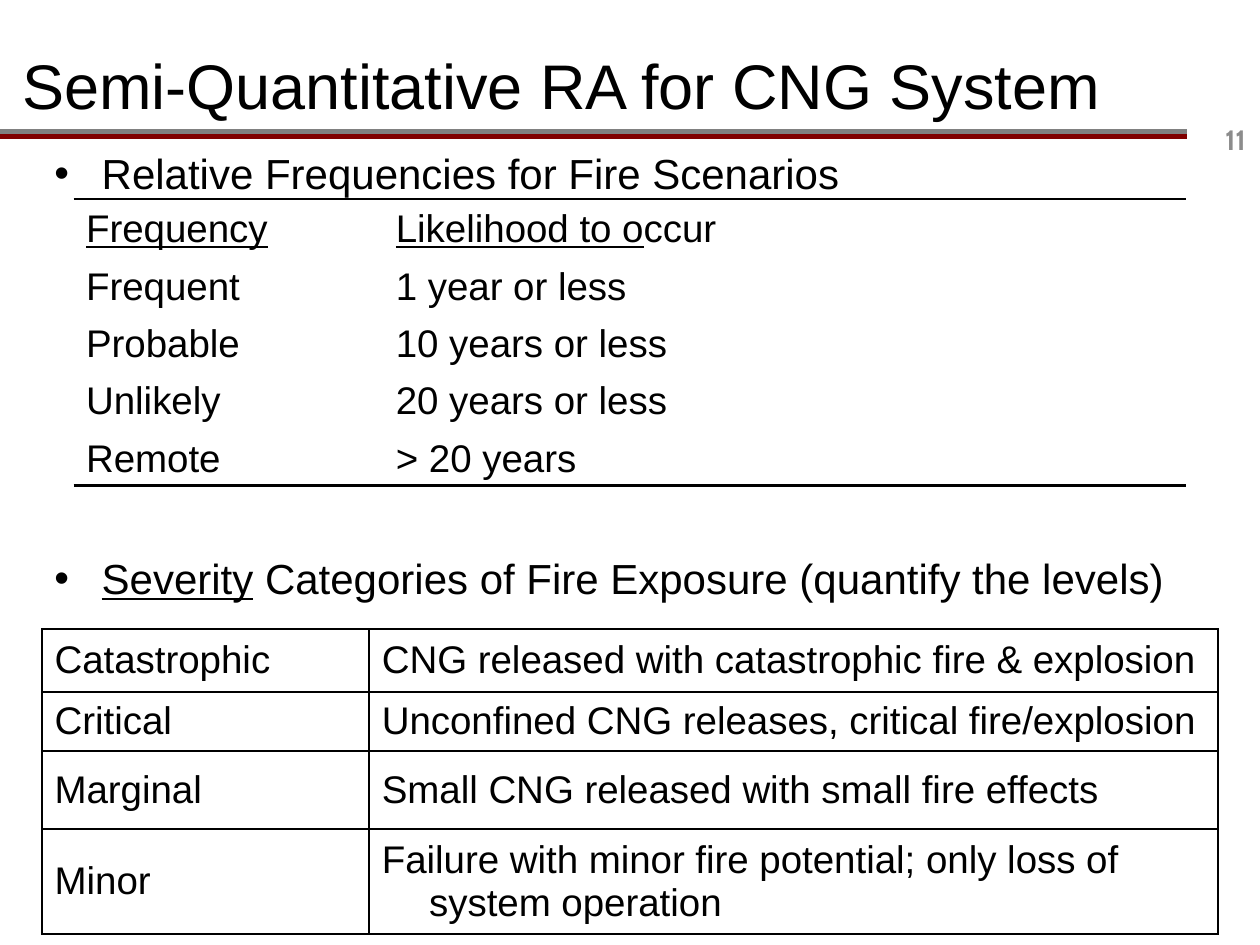
from lxml import etree
from pptx import Presentation
from pptx.dml.color import RGBColor
from pptx.enum.shapes import MSO_CONNECTOR
from pptx.enum.text import MSO_ANCHOR, PP_ALIGN
from pptx.oxml.ns import qn
from pptx.util import Pt

LINE = MSO_CONNECTOR.STRAIGHT
MID, LOW, TOP = MSO_ANCHOR.MIDDLE, MSO_ANCHOR.BOTTOM, MSO_ANCHOR.TOP
LEFT, RIGHT = PP_ALIGN.LEFT, PP_ALIGN.RIGHT
COLORS = {"ink": "000000", "gray": "808080", "red": "800000", "page": "8C8C8C"}
NO_GRID = "{2D5ABB26-0587-4C30-8999-92F81FD0307C}"
TITLE_ONLY = 5
INDENT = 27


class Deck:
    """Holds the style and the current slide; all lengths are points."""

    def __init__(self, font="Arial"):
        self.font = font
        self.prs = Presentation()
        self.prs.slide_width, self.prs.slide_height = Pt(720), Pt(540)
        self.slide = self.prs.slides.add_slide(self.prs.slide_layouts[TITLE_ONLY])

    def style(self, run, size, color="ink", font=None, bold=False, under=False):
        face = run.font
        face.name, face.size, face.bold = font or self.font, Pt(size), bold
        face.underline = under
        face.color.rgb = RGBColor.from_string(COLORS[color])

    def label(self, para, text, size, mark=None, hang=False, **look):
        """Fill a paragraph; the part before '|' is underlined."""
        para.alignment = LEFT
        head, bar, tail = text.partition("|")
        if not bar:
            head, tail = "", text
        for part, under in ((head, True), (tail, False)):
            if part:
                run = para.add_run()
                run.text = part
                self.style(run, size, under=under, **look)
        if hang:
            props = para._p.get_or_add_pPr()
            props.set("marL", str(Pt(INDENT)))
            props.set("indent", str(Pt(-INDENT)))
            if mark:
                etree.SubElement(props, qn("a:buFont")).set("typeface", self.font)
                etree.SubElement(props, qn("a:buChar")).set("char", mark)

    def title(self, text, x, y, w, h, size):
        shape = self.slide.shapes.title
        shape.left, shape.top, shape.width, shape.height = map(Pt, (x, y, w, h))
        frame = shape.text_frame
        frame.margin_left = frame.margin_right = Pt(0.7)
        frame.vertical_anchor = MID
        self.label(frame.paragraphs[0], text, size)

    def box(self, x, y, w, h, anchor=TOP):
        frame = self.slide.shapes.add_textbox(*map(Pt, (x, y, w, h))).text_frame
        frame.word_wrap = True
        frame.vertical_anchor = anchor
        return frame

    def page(self, text, x, y, w, h):
        para = self.box(x, y, w, h, MID).paragraphs[0]
        self.label(para, text, 16, color="page", font="Cabin", bold=True)
        para.alignment = RIGHT

    def list(self, items, x, y, w, h, size, gap):
        frame = self.box(x, y, w, h)
        frame.margin_top = Pt(6.2)
        for i, text in enumerate(items):
            para = frame.add_paragraph() if i else frame.paragraphs[0]
            self.label(para, text, size, mark="•", hang=True)
            if i:
                para.space_before = Pt(gap)

    def rule(self, y, w, color):
        line = self.slide.shapes.add_connector(LINE, Pt(0), Pt(y), Pt(w), Pt(y))
        line.line.width = Pt(3)
        line.line.color.rgb = RGBColor.from_string(COLORS[color])
        etree.SubElement(line._element.spPr, qn("a:effectLst"))

    def edge(self, cell, side, width):
        line = etree.SubElement(cell._tc.get_or_add_tcPr(), qn("a:ln" + side))
        line.set("w", str(Pt(width)))
        fill = etree.SubElement(line, qn("a:solidFill"))
        etree.SubElement(fill, qn("a:srgbClr")).set("val", COLORS["ink"])

    def table(self, data, x, y, cols, rows, anchor, edges, pad=3.6):
        """Draw a table; edges(row) gives the border widths by side."""
        frame = self.slide.shapes.add_table(
            len(rows), len(cols), *map(Pt, (x, y, sum(cols), sum(rows))))
        grid = frame.table
        grid.first_row = grid.horz_banding = False
        grid._tbl.tblPr.find(qn("a:tableStyleId")).text = NO_GRID
        for col, w in zip(grid.columns, cols):
            col.width = Pt(w)
        for r, (h, texts) in enumerate(zip(rows, data)):
            grid.rows[r].height = Pt(h)
            for c, text in enumerate(texts):
                cell = grid.cell(r, c)
                cell.vertical_anchor = anchor
                cell.margin_top = cell.margin_bottom = Pt(pad)
                for side, width in edges(r).items():
                    self.edge(cell, side, width)
                cell.fill.background()
                self.label(cell.text_frame.paragraphs[0], text, 22, hang=True)


def main():
    deck = Deck()

    # Header rules, page number and title
    deck.rule(75, 678.5, "gray")
    deck.rule(78, 678.5, "red")
    deck.page("11", 660, 65, 59, 29)
    deck.title("Semi-Quantitative RA for CNG System", 12, 21, 696, 54, 36)

    # Headings above the two tables
    deck.list(["Relative Frequencies for Fire Scenarios",
               "Severity| Categories of Fire Exposure (quantify the levels)"],
              24, 78, 672, 414, 24, 202.7)

    # Frequency table: ruled at top and bottom only
    freq = [("Frequency|", "Likelihood to o|ccur"),
            ("Frequent", "1 year or less"),
            ("Probable", "10 years or less"),
            ("Unlikely", "20 years or less"),
            ("Remote", "> 20 years")]
    ends = {0: {"T": 1}, len(freq) - 1: {"B": 2}}
    deck.table(freq, 42, 113.8, [177, 459], [31.9] * len(freq), LOW,
               lambda r: ends.get(r, {}), pad=3.2)

    # Severity table: full grid
    harm = [("Catastrophic", "CNG released with catastrophic fire & explosion"),
            ("Critical", "Unconfined CNG releases, critical fire/explosion"),
            ("Marginal", "Small CNG released with small fire effects"),
            ("Minor", "Failure with minor fire potential; "
                      "only loss of system operation")]
    deck.table(harm, 24, 359.5, [187, 485], [36, 33.6, 44.6, 60], MID,
               lambda r: dict.fromkeys("LRTB", 1))

    deck.prs.save("out.pptx")


if __name__ == "__main__":
    main()
